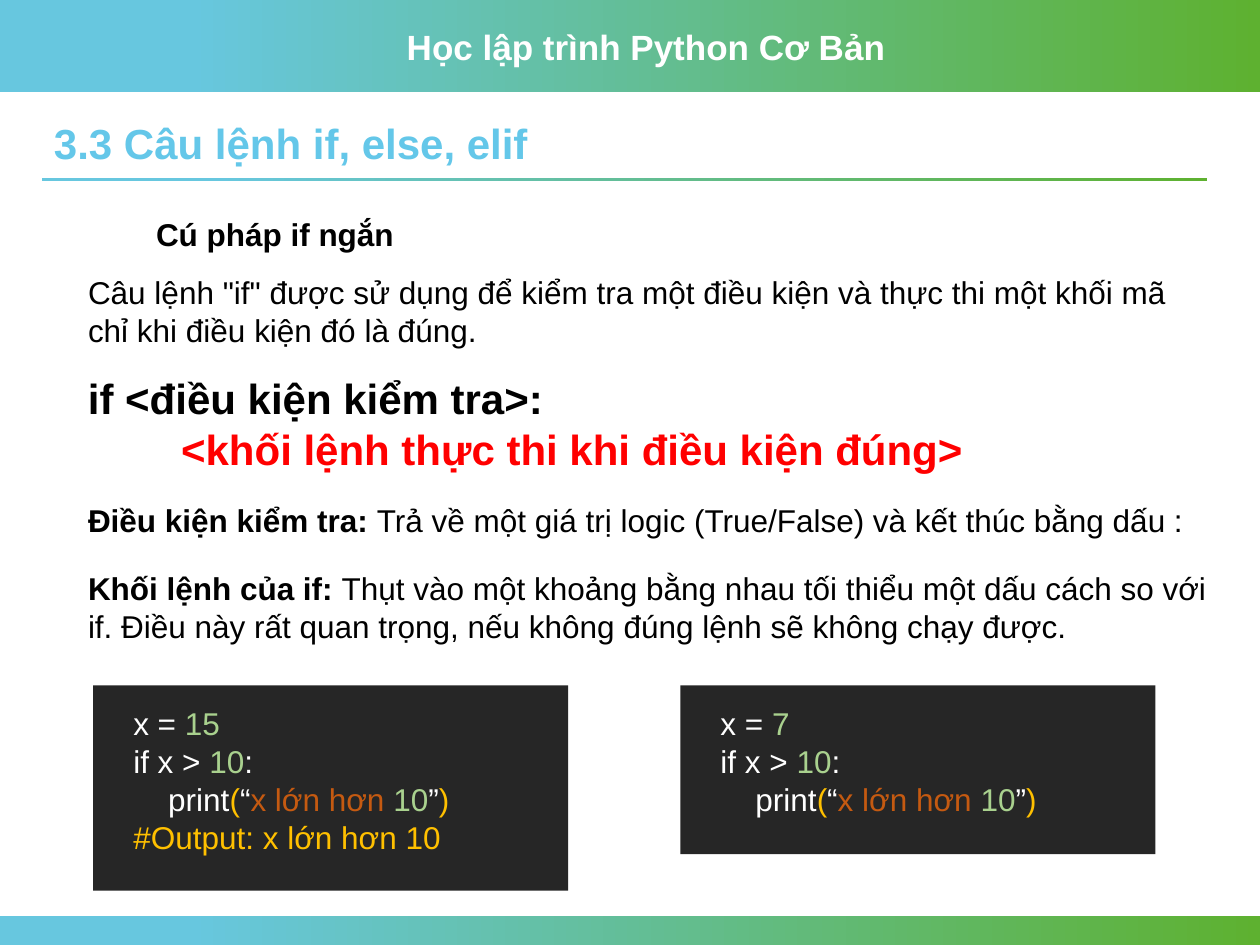
from pptx import Presentation
from pptx.dml.color import RGBColor
from pptx.enum.shapes import MSO_SHAPE
from pptx.enum.text import MSO_AUTO_SIZE
from pptx.util import Inches, Pt

BLACK, WHITE, RED = "000000", "FFFFFF", "FF0000"
SKY, GREEN, TITLE_BLUE = "67C7DF", "5EB130", "64C7E9"
CODE_BG, NUMBER, STRING, YELLOW = "262626", "A9D18E", "C55A11", "FFC000"
BODY_LEFT, BODY_WIDTH = 0.6, 9.11


def set_color(color, value):
    color.rgb = RGBColor.from_string(value)


def add_rect(s, x, y, w, h):
    sp = s.shapes.add_shape(MSO_SHAPE.RECTANGLE, Inches(x), Inches(y), Inches(w), Inches(h))
    sp.shadow.inherit = False
    sp.line.fill.background()
    return sp


def add_gradient_bar(s, x, y, w, h):
    fill = add_rect(s, x, y, w, h).fill
    fill.gradient()
    fill.gradient_angle = 0
    for stop, position, color in zip(fill.gradient_stops, (0.15, 1), (SKY, GREEN)):
        stop.position = position
        set_color(stop.color, color)


def add_text(s, x, y, w, h, paragraphs, size=18):
    """Add a text box; each paragraph is a list of (text, color, bold) runs."""
    tf = s.shapes.add_textbox(Inches(x), Inches(y), Inches(w), Inches(h)).text_frame
    tf.word_wrap = True
    tf.auto_size = MSO_AUTO_SIZE.SHAPE_TO_FIT_TEXT
    for i, runs in enumerate(paragraphs):
        p = tf.paragraphs[0] if i == 0 else tf.add_paragraph()
        for text, color, bold in runs:
            r = p.add_run()
            r.text = text
            r.font.name = "Arial"
            r.font.size = Pt(size)
            r.font.bold = bold
            set_color(r.font.color, color)
    return tf


def add_term(s, y, h, term, meaning):
    add_text(s, BODY_LEFT, y, BODY_WIDTH, h, [[(term, BLACK, True), (meaning, BLACK, False)]])


def add_code(s, x, panel_height, text_height, value, output=None):
    panel = add_rect(s, x, 5.44, 3.77, panel_height)
    panel.fill.solid()
    set_color(panel.fill.fore_color, CODE_BG)
    lines = [
        [("x = ", WHITE), (value, NUMBER)],
        [("if x > ", WHITE), ("10", NUMBER), (":", WHITE)],
        [("    print", WHITE), ("(", YELLOW), ("“", WHITE), ("x lớn hơn ", STRING),
         ("10", NUMBER), ("”", WHITE), (")", YELLOW)],
    ]
    if output:
        lines.append([(output, YELLOW)])
    paragraphs = [[(text, color, False) for text, color in line] for line in lines]
    add_text(s, x + 0.22, 5.54, 3, text_height, paragraphs)


def main():
    prs = Presentation()
    prs.slide_width, prs.slide_height = Inches(10), Inches(7.5)
    s = prs.slides.add_slide(prs.slide_layouts[6])

    add_gradient_bar(s, 0, 0, 10, 0.73)
    add_gradient_bar(s, 0, 7.27, 10, 0.23)
    add_gradient_bar(s, 0.33, 1.41, 9.25, 0.03)
    add_text(s, 3.13, 0.15, 4, 0.44, [[("Học lập trình Python Cơ Bản", WHITE, True)]], 20)
    title = add_text(s, 0.33, 0.93, 9.25, 0.46,
                     [[("3.3 Câu lệnh if, else, elif", TITLE_BLUE, True)]], 24)
    title.paragraphs[0].line_spacing = 0.9

    add_text(s, 1.14, 1.66, 7.73, 0.4, [[("Cú pháp if ngắn", BLACK, True)]])
    add_text(s, BODY_LEFT, 2.12, BODY_WIDTH, 0.71, [[
        ('Câu lệnh "if" được sử dụng để kiểm tra một điều kiện và thực thi một khối mã '
         "chỉ khi điều kiện đó là đúng.", BLACK, False)]])
    add_text(s, BODY_LEFT, 2.91, 8.56, 0.91, [
        [("if <điều kiện kiểm tra>:", BLACK, True)],
        [("        <khối lệnh thực thi khi điều kiện đúng>", RED, True)]], 24)
    add_term(s, 3.93, 0.4, "Điều kiện kiểm tra: ",
             "Trả về một giá trị logic (True/False) và kết thúc bằng dấu :")
    add_term(s, 4.47, 0.71, "Khối lệnh của if: ",
             "Thụt vào một khoảng bằng nhau tối thiểu một dấu cách so với if. "
             "Điều này rất quan trọng, nếu không đúng lệnh sẽ không chạy được.")

    add_code(s, 0.74, 1.63, 1.31, "15", "#Output: x lớn hơn 10")
    add_code(s, 5.4, 1.34, 1.01, "7")
    prs.save("out.pptx")


if __name__ == "__main__":
    main()
